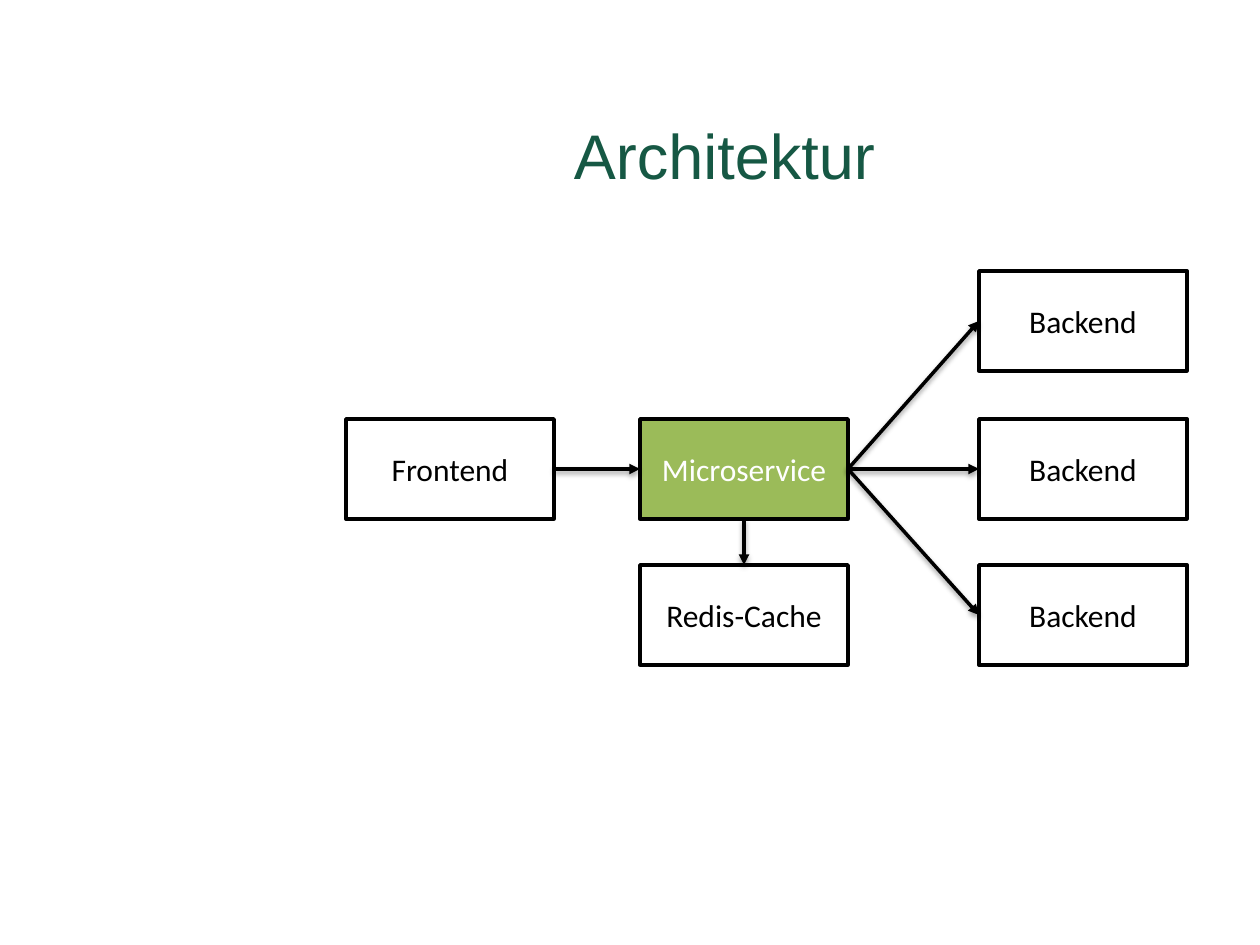
from lxml.etree import SubElement
from pptx import Presentation
from pptx.dml.color import RGBColor
from pptx.enum.shapes import MSO_CONNECTOR, MSO_SHAPE
from pptx.enum.text import MSO_ANCHOR, PP_ALIGN
from pptx.oxml.ns import qn
from pptx.util import Emu, Pt

SCALE = 914400 / 126
BLACK = RGBColor(0x00, 0x00, 0x00)
WHITE = RGBColor(0xFF, 0xFF, 0xFF)
LEAF = RGBColor(0x9B, 0xBB, 0x59)
PINE = RGBColor(0x16, 0x58, 0x44)
TOP, LEFT, BOTTOM, RIGHT = range(4)
NODE_SIZE = (208, 100)


def px(length):
    """Turn pixels into EMU."""
    return Emu(round(length * SCALE))


def write(shape, text, font="Calibri", size=18, color=BLACK):
    """Set centred text in a shape."""
    frame = shape.text_frame
    frame.word_wrap = True
    frame.vertical_anchor = MSO_ANCHOR.MIDDLE
    para = frame.paragraphs[0]
    para.alignment = PP_ALIGN.CENTER
    span = para.add_run()
    span.text = text
    span.font.name = font
    span.font.size = Pt(size)
    span.font.color.rgb = color


def add_node(page, left, top, text, fill=WHITE, color=BLACK):
    """Draw one labelled component."""
    node = page.shapes.add_shape(
        MSO_SHAPE.RECTANGLE, px(left), px(top), *map(px, NODE_SIZE))
    node.shadow.inherit = False
    node.fill.solid()
    node.fill.fore_color.rgb = fill
    node.line.color.rgb = BLACK
    node.line.width = Pt(2)
    write(node, text, color=color)
    return node


def add_arrow(page, source, source_side, target, target_side):
    """Join two components with a softly shadowed arrow."""
    arrow = page.shapes.add_connector(MSO_CONNECTOR.STRAIGHT, 0, 0, 0, 0)
    arrow.begin_connect(source, source_side)
    arrow.end_connect(target, target_side)
    arrow.line.color.rgb = BLACK
    arrow.line.width = Pt(2)
    SubElement(arrow.line._get_or_add_ln(), qn("a:tailEnd"), type="triangle")
    effects = SubElement(arrow._element.spPr, qn("a:effectLst"))
    shadow = SubElement(effects, qn("a:outerShdw"), blurRad=str(Pt(3.1)),
                        dist=str(Pt(1.6)), dir="5400000", rotWithShape="0")
    shade = SubElement(shadow, qn("a:srgbClr"), val=str(BLACK))
    SubElement(shade, qn("a:alpha"), val="38000")


def add_title(page, left, top, width, height):
    """Place the slide title."""
    title = page.shapes.title
    title.left, title.top = px(left), px(top)
    title.width, title.height = px(width), px(height)
    write(title, "Architektur", font="Arial", size=36, color=PINE)


def add_diagram(page, left, top, width, height):
    """Draw the components and the calls between them."""
    middle, last = top + 148, top + height - NODE_SIZE[1]
    center, right = left + 294, left + width - NODE_SIZE[0]
    service = add_node(page, center, middle, "Microservice", LEAF, WHITE)
    backends = [add_node(page, right, row, "Backend")
                for row in (top, middle, last)]
    frontend = add_node(page, left, middle, "Frontend")
    cache = add_node(page, center, last, "Redis-Cache")
    add_arrow(page, frontend, RIGHT, service, LEFT)
    for backend in backends:
        add_arrow(page, service, RIGHT, backend, LEFT)
    add_arrow(page, service, BOTTOM, cache, TOP)


def main():
    """Build the deck."""
    deck = Presentation()
    deck.slide_width, deck.slide_height = px(1260), px(945)
    page = deck.slides.add_slide(deck.slide_layouts[5])
    add_title(page, 252, 76, 945, 157)
    add_diagram(page, 346, 271, 841, 394)
    deck.save("out.pptx")


if __name__ == "__main__":
    main()
